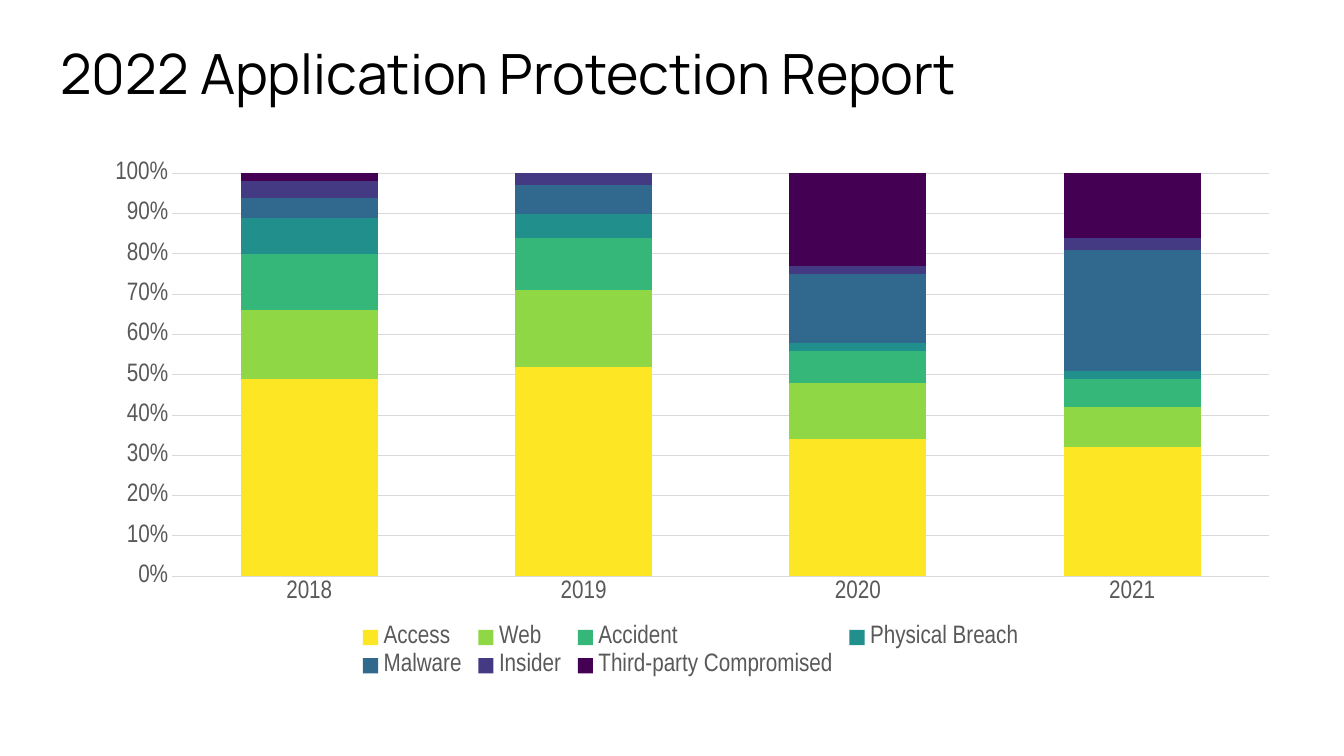
from lxml import etree
from pptx import Presentation
from pptx.chart.data import CategoryChartData
from pptx.dml.color import RGBColor
from pptx.enum.chart import XL_CHART_TYPE, XL_LEGEND_POSITION, XL_TICK_MARK
from pptx.enum.text import MSO_ANCHOR
from pptx.oxml.ns import qn
from pptx.util import Inches, Pt

STACKED = XL_CHART_TYPE.COLUMN_STACKED_100
BOTTOM = XL_LEGEND_POSITION.BOTTOM
NO_TICK = XL_TICK_MARK.NONE
MIDDLE = MSO_ANCHOR.MIDDLE

BLACK = RGBColor(0x00, 0x00, 0x00)
GRAY = RGBColor(0x59, 0x59, 0x59)
RULE = RGBColor(0xD9, 0xD9, 0xD9)
YELLOW = RGBColor(0xFD, 0xE7, 0x25)
LIME = RGBColor(0x8F, 0xD7, 0x44)
GREEN = RGBColor(0x35, 0xB7, 0x79)
TEAL = RGBColor(0x21, 0x90, 0x8C)
BLUE = RGBColor(0x31, 0x68, 0x8E)
INDIGO = RGBColor(0x44, 0x3A, 0x83)
PURPLE = RGBColor(0x44, 0x01, 0x54)

YEARS = ("2018", "2019", "2020", "2021")
CAUSES = (
    ("Access", (49, 52, 34, 32), YELLOW),
    ("Web", (17, 19, 14, 10), LIME),
    ("Accident", (14, 13, 8, 7), GREEN),
    ("Physical Breach", (9, 6, 2, 2), TEAL),
    ("Malware", (5, 7, 17, 30), BLUE),
    ("Insider", (4, 3, 2, 3), INDIGO),
    ("Third-party Compromised", (2, 0, 23, 16), PURPLE),
)


def set_font(font, name, size, color):
    font.name = name
    font.size = Pt(size)
    font.color.rgb = color


def write_text(frame, text, *, font, size, color, line_spacing=1.0):
    para = frame.paragraphs[0]
    para.line_spacing = line_spacing
    span = para.add_run()
    span.text = text
    set_font(span.font, font, size, color)


def place_plot(chart, **shares):
    area = chart.element.find(".//" + qn("c:plotArea"))
    layout = area.find(qn("c:layout"))
    if layout is None:
        layout = etree.Element(qn("c:layout"))
        area.insert(0, layout)
    manual = etree.SubElement(layout, qn("c:manualLayout"))
    settings = {"layoutTarget": "inner", "xMode": "edge", "yMode": "edge", **shares}
    for tag, value in settings.items():
        etree.SubElement(manual, qn("c:" + tag)).set("val", str(value))


class ReportPage:
    """Holds the report style and the current slide."""

    title_font = "Manrope"
    chart_font = "Arial Narrow"
    chart_size = 18

    def __init__(self, deck):
        self.page = deck.slides.add_slide(deck.slide_layouts[6])

    def title(self, text, left, top, width, height):
        box = self.page.shapes.add_textbox(
            Inches(left), Inches(top), Inches(width), Inches(height))
        frame = box.text_frame
        frame.word_wrap = True
        frame.vertical_anchor = MIDDLE
        write_text(frame, text, font=self.title_font, size=39.6,
                   color=BLACK, line_spacing=0.9)

    def style_axis(self, axis):
        axis.major_tick_mark = NO_TICK
        axis.minor_tick_mark = NO_TICK
        set_font(axis.tick_labels.font, self.chart_font, self.chart_size, GRAY)

    def stacked_chart(self, categories, causes, left, top, width, height):
        data = CategoryChartData()
        data.categories = categories
        for name, values, _ in causes:
            data.add_series(name, values)
        chart = self.page.shapes.add_chart(
            STACKED, Inches(left), Inches(top), Inches(width), Inches(height), data).chart
        chart.has_title = False
        set_font(chart.font, self.chart_font, self.chart_size, BLACK)

        plot = chart.plots[0]
        plot.gap_width = 100
        plot.overlap = 100
        plot.vary_by_categories = False
        for series, (_, _, color) in zip(plot.series, causes):
            series.format.fill.solid()
            series.format.fill.fore_color.rgb = color

        years, shares = chart.category_axis, chart.value_axis
        self.style_axis(years)
        self.style_axis(shares)
        shares.has_major_gridlines = True
        for line in (years.format.line, shares.major_gridlines.format.line):
            line.color.rgb = RULE
            line.width = Pt(0.75)
        shares.format.line.fill.background()
        shares.tick_labels.number_format = "0%"
        shares.tick_labels.number_format_is_linked = False

        chart.has_legend = True
        chart.legend.position = BOTTOM
        chart.legend.include_in_layout = False
        set_font(chart.legend.font, self.chart_font, self.chart_size, GRAY)
        place_plot(chart, x=0.07, y=0.04, w=0.91, h=0.76)


def main():
    deck = Presentation()
    deck.slide_width = Inches(13.33)
    deck.slide_height = Inches(7.5)
    report = ReportPage(deck)
    report.title("2022 Application Protection Report", 0.5, 0.5, 12.33, 0.51)
    report.stacked_chart(YEARS, CAUSES, 0.87, 1.51, 11.96, 5.26)
    deck.save("out.pptx")


if __name__ == "__main__":
    main()
